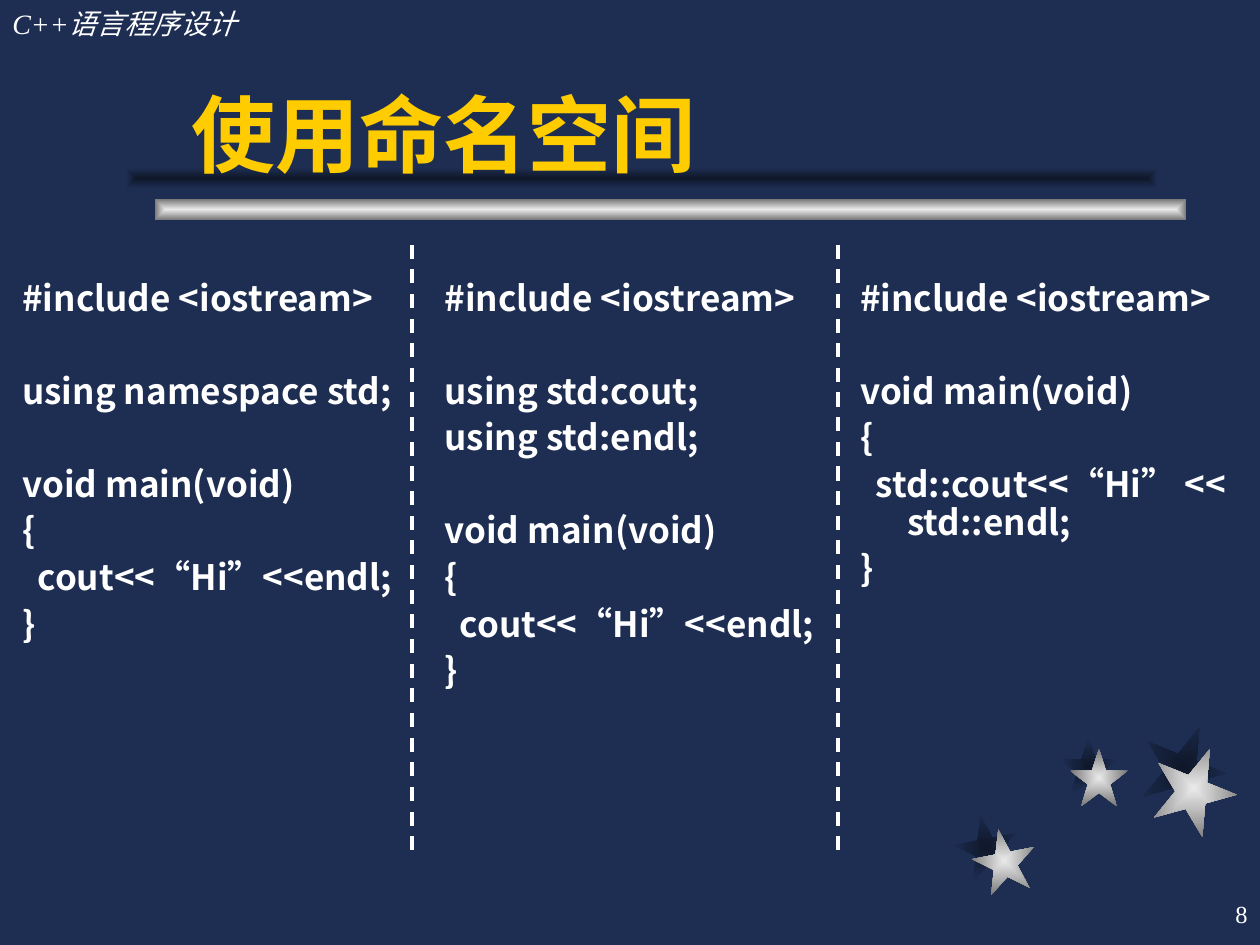
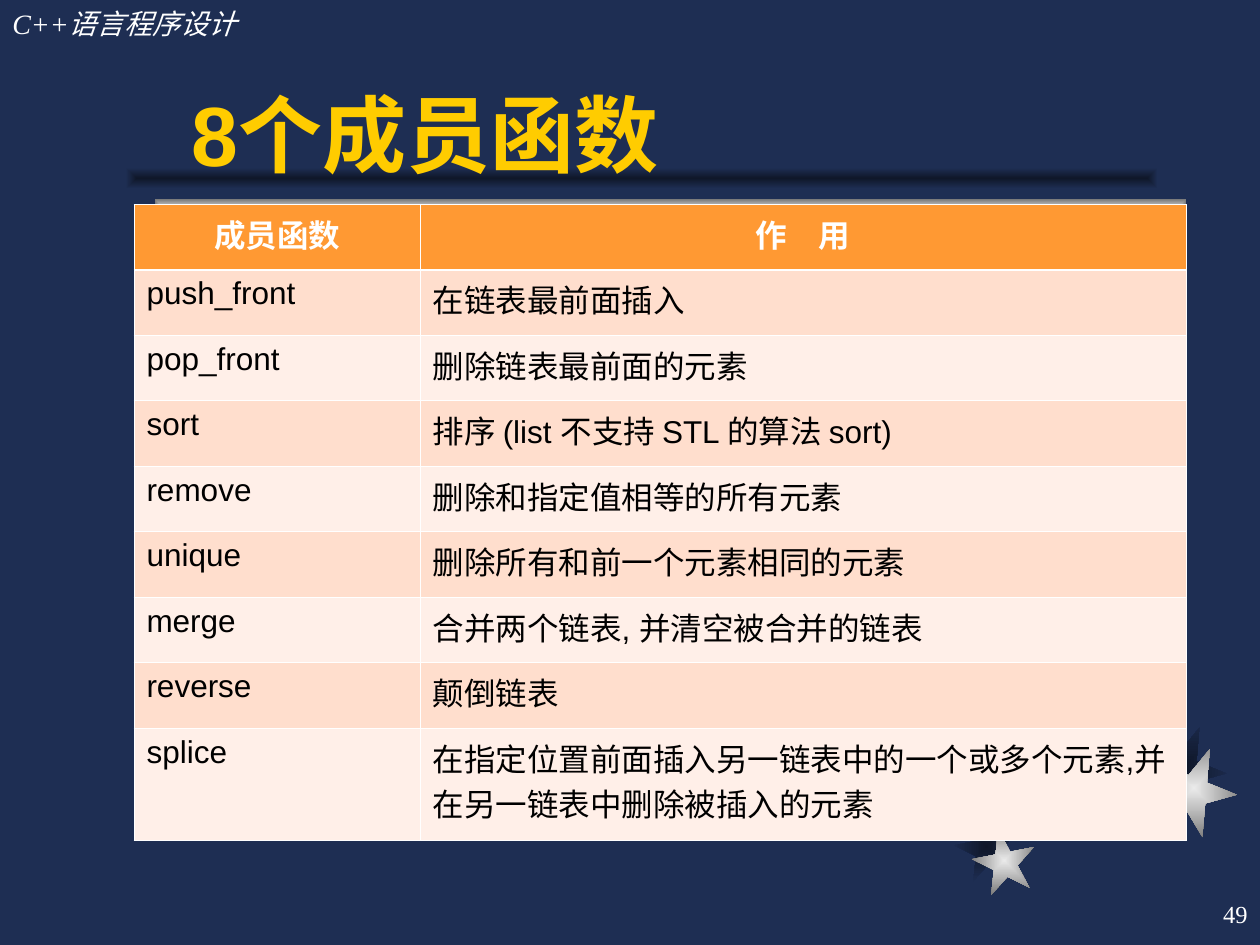
from lxml.etree import SubElement
from pptx import Presentation
from pptx.dml.color import RGBColor
from pptx.enum.dml import MSO_LINE
from pptx.enum.shapes import MSO_CONNECTOR, MSO_SHAPE as SHAPE
from pptx.enum.text import MSO_ANCHOR as ANCHOR, MSO_AUTO_SIZE, PP_ALIGN as ALIGN
from pptx.oxml import parse_xml
from pptx.oxml.ns import nsdecls, qn
from pptx.util import Cm, Pt

NAVY = RGBColor(0x1E, 0x2E, 0x53)
SHADE = RGBColor(0x0F, 0x17, 0x29)
SILVER = RGBColor(0xEA, 0xEA, 0xEA)
GREY = RGBColor(0x75, 0x75, 0x75)
GOLD = RGBColor(0xFF, 0xCC, 0x00)
WHITE = RGBColor(0xFF, 0xFF, 0xFF)
BLACK = RGBColor(0x00, 0x00, 0x00)
ORANGE = RGBColor(0xFF, 0x99, 0x33)
PEACH = RGBColor(0xFF, 0xDE, 0xCD)
CREAM = RGBColor(0xFF, 0xEF, 0xE8)
SANS, SERIF, CJK = "Arial", "Times New Roman", "Noto Sans CJK SC"


def style(paragraph, size, colour, face, bold=False, italic=False):
    font = paragraph.font
    font.size, font.bold, font.italic = Pt(size), bold, italic
    font.color.rgb = colour
    font.name = face
    SubElement(font._element, qn("a:ea"), typeface=CJK)


def add_glow(slide, kind, box, centre, edge, rotation=0):
    """Add a decoration shaded from its centre and move it to the layout."""
    glow = slide.shapes.add_shape(kind, *[Cm(length) for length in box])
    glow.rotation = rotation
    glow.shadow.inherit = False
    glow.line.fill.background()
    glow.fill.background()
    no_fill = glow.element.spPr.find(qn("a:noFill"))
    no_fill.addprevious(parse_xml(
        f'<a:gradFill rotWithShape="1" {nsdecls("a")}><a:gsLst>'
        f'<a:gs pos="0"><a:srgbClr val="{centre}"/></a:gs>'
        f'<a:gs pos="100000"><a:srgbClr val="{edge}"/></a:gs></a:gsLst>'
        '<a:path path="rect"><a:fillToRect l="50000" t="50000" r="50000" b="50000"/>'
        '</a:path></a:gradFill>'))
    glow.element.spPr.remove(no_fill)
    slide.slide_layout.shapes.element.append(glow.element)


deck = Presentation()
deck.slide_width, deck.slide_height = Cm(25.4), Cm(19.05)
layout = deck.slide_layouts[5]
layout.background.fill.solid()
layout.background.fill.fore_color.rgb = NAVY

# Titles and page numbers
pages = []
for heading, number in (("使用命名空间", "8"), ("8个成员函数", "49")):
    page = deck.slides.add_slide(layout)
    pages.append(page)
    title = page.shapes.title
    title.left, title.top, title.width, title.height = Cm(3.61), Cm(0.64), Cm(19.89), Cm(3.18)
    title.text = heading
    title.text_frame.vertical_anchor = ANCHOR.BOTTOM
    title.text_frame.auto_size = MSO_AUTO_SIZE.NONE
    title.text_frame.paragraphs[0].alignment = ALIGN.LEFT
    style(title.text_frame.paragraphs[0], 48, GOLD, SANS, bold=True)

    page_number = page.shapes.add_textbox(Cm(20.12), Cm(17.78), Cm(5.28), Cm(1.27)).text_frame
    page_number.text = number
    page_number.vertical_anchor = ANCHOR.MIDDLE
    page_number.word_wrap = True
    page_number.paragraphs[0].alignment = ALIGN.RIGHT
    style(page_number.paragraphs[0], 14, WHITE, SERIF)
namespaces, members = pages

# Layout: stars with their shadows, title bar and course name
SHADOW, METAL = (SHADE, NAVY), (SILVER, GREY)
stars = [(19.25, 16.43, 0.36, 0.28, 1.27, 349),
         (21.36, 14.86, 0.21, 0.23, 1.17, 0),
         (23.01, 14.61, 0.21, 0.43, 1.7, 22)]
for shift, shades in ((0, SHADOW), (1, METAL)):
    for left, top, dx, dy, size, turn in stars:
        box = (left + shift * dx, top + shift * dy, size, size)
        add_glow(namespaces, SHAPE.STAR_5_POINT, box, *shades, rotation=turn)
add_glow(namespaces, SHAPE.RECTANGLE, (3.12, 4.01, 20.8, 0.43), *METAL)
add_glow(namespaces, SHAPE.RECTANGLE, (2.54, 3.38, 20.8, 0.43), *SHADOW)

course = namespaces.shapes.add_textbox(0, 0, Cm(7.82), Cm(0.94))
course.text_frame.word_wrap = True
course.text_frame.text = "C++语言程序设计"
style(course.text_frame.paragraphs[0], 16, WHITE, SERIF, italic=True)
layout.shapes.element.append(course.element)

# Three ways to name the namespace: blocks of code lines, indented ones marked by a tab
listings = [
    (0.2, [["#include <iostream>"], ["using namespace std;"],
           ["void main(void)", "{", "\tcout<<“Hi”<<endl;", "}"]]),
    (8.71, [["#include <iostream>"], ["using std:cout;", "using std:endl;"],
            ["void main(void)", "{", "\tcout<<“Hi”<<endl;", "}"]]),
    (17.09, [["#include <iostream>"],
             ["void main(void)", "{", "\tstd::cout<<“Hi” << std::endl;", "}"]]),
]
LINE_GAP, BLOCK_GAP = Pt(5), Pt(31.6)
for left, blocks in listings:
    code = namespaces.shapes.add_textbox(Cm(left), Cm(5.54), Cm(8.1), Cm(11.43)).text_frame
    code.word_wrap = True
    paragraph = code.paragraphs[0]
    for block_index, block in enumerate(blocks):
        for line_index, line in enumerate(block):
            if block_index or line_index:
                paragraph = code.add_paragraph()
            paragraph.text = line.lstrip("\t")
            paragraph.line_spacing = 0.9
            paragraph.space_before = BLOCK_GAP if block_index and not line_index else LINE_GAP
            hanging = Cm(0.64) if line.startswith("\t") else Cm(0.95)
            properties = paragraph._p.get_or_add_pPr()
            properties.set("marL", str(Cm(0.95)))
            properties.set("indent", str(-hanging))
            style(paragraph, 20, WHITE, CJK, bold=True)

# Dashed dividers between the listings
for x in (8.31, 16.89):
    divider = namespaces.shapes.add_connector(
        MSO_CONNECTOR.STRAIGHT, Cm(x), Cm(4.93), Cm(x), Cm(17.32))
    divider.line.color.rgb = WHITE
    divider.line.width = Pt(2)
    divider.line.dash_style = MSO_LINE.DASH
    SubElement(divider.element.spPr, qn("a:effectLst"))

# Table of member functions
functions = [
    ("成员函数", "作　用"),
    ("push_front", "在链表最前面插入"),
    ("pop_front", "删除链表最前面的元素"),
    ("sort", "排序 (list 不支持 STL 的算法 sort)"),
    ("remove", "删除和指定值相等的所有元素"),
    ("unique", "删除所有和前一个元素相同的元素"),
    ("merge", "合并两个链表, 并清空被合并的链表"),
    ("reverse", "颠倒链表"),
    ("splice", "在指定位置前面插入另一链表中的一个或多个元素,并在另一链表中删除被插入的元素"),
]
table = members.shapes.add_table(
    len(functions), 2, Cm(2.7), Cm(4.12), Cm(21.21), Cm(12.82)).table
table.columns[0].width, table.columns[1].width = Cm(5.77), Cm(15.44)
for row, texts in enumerate(functions):
    table.rows[row].height = Cm(2.26) if row == len(functions) - 1 else Cm(1.32)
    for column, text in enumerate(texts):
        cell = table.cell(row, column)
        cell.text = text
        paragraph = cell.text_frame.paragraphs[0]
        paragraph.alignment = ALIGN.LEFT if row else ALIGN.CENTER
        style(paragraph, 18, BLACK if row else WHITE, SANS, bold=row == 0)
        for side in "LRTB":
            heavy = (row, side) in ((0, "B"), (1, "T"))
            cell._tc.get_or_add_tcPr().append(parse_xml(
                f'<a:ln{side} w="{Pt(1.47 if heavy else 0.45)}" {nsdecls("a")}>'
                f'<a:solidFill><a:srgbClr val="{WHITE}"/></a:solidFill></a:ln{side}>'))
        cell.fill.solid()
        cell.fill.fore_color.rgb = (PEACH if row % 2 else CREAM) if row else ORANGE

deck.save("out.pptx")
